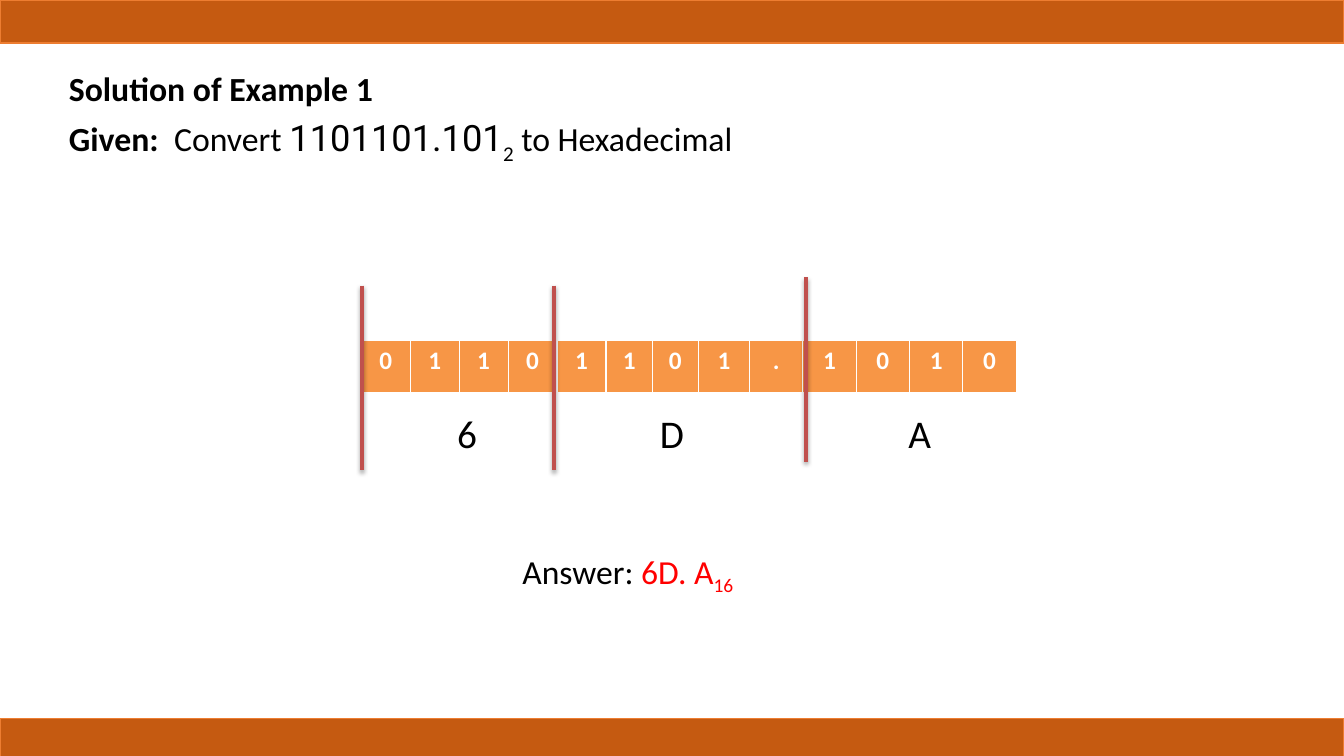
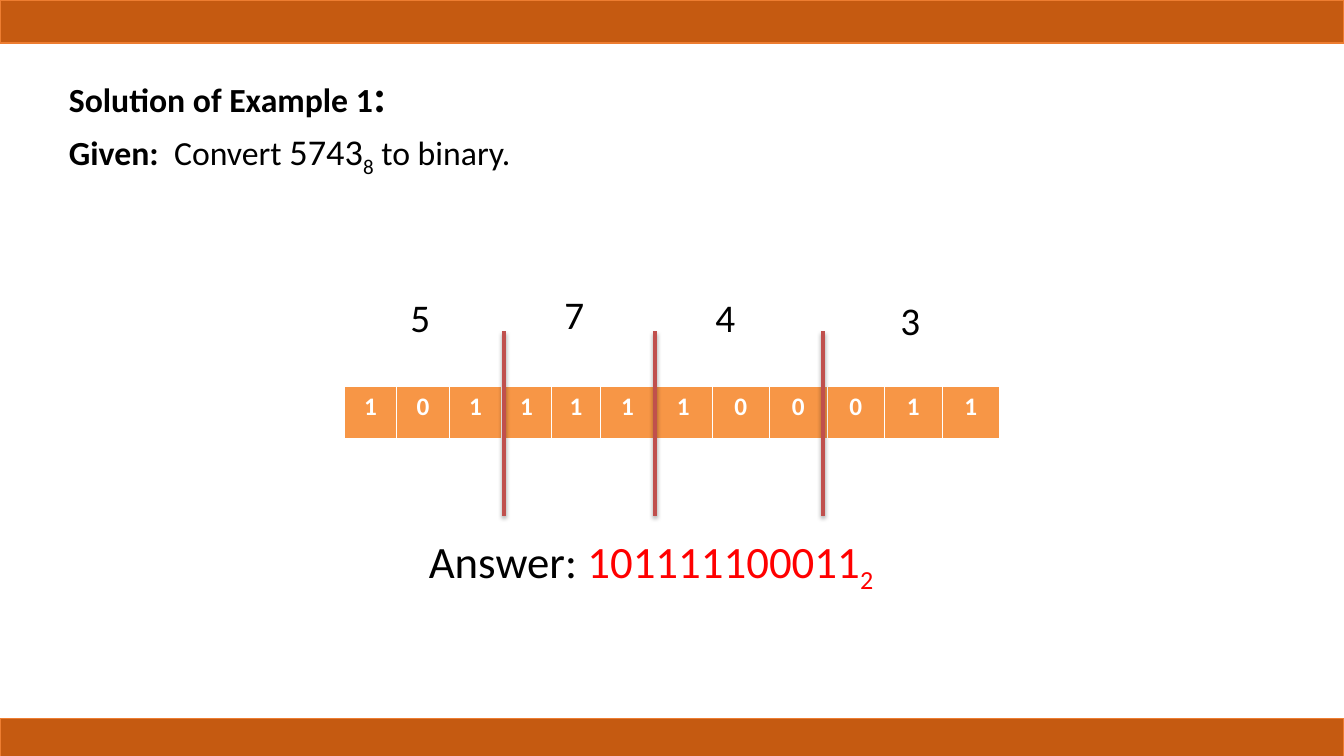
"""Build two worked slides on converting between number bases."""
from dataclasses import dataclass

from lxml.etree import SubElement
from pptx import Presentation
from pptx.dml.color import RGBColor
from pptx.enum.shapes import MSO_CONNECTOR, MSO_SHAPE
from pptx.enum.text import MSO_ANCHOR, MSO_AUTO_SIZE, PP_ALIGN
from pptx.oxml.ns import qn
from pptx.slide import Slide
from pptx.util import Pt

BLACK = RGBColor(0x00, 0x00, 0x00)
WHITE = RGBColor(0xFF, 0xFF, 0xFF)
RED = RGBColor(0xFF, 0x00, 0x00)
BAND = RGBColor(0xC5, 0x5A, 0x11)
BAND_EDGE = RGBColor(0xED, 0x7D, 0x31)
CELL = RGBColor(0xF7, 0x96, 0x46)
DIVIDER = RGBColor(0xC0, 0x50, 0x4D)

WIDTH, HEIGHT = 960, 540
BAND_HEIGHT = 30.8
BAND_TOPS = (0, 513.4)
ROW_HEIGHT = 38
DIVIDER_LENGTH = 132
HEAD_SIZE, NUMBER_SIZE = 24.1, 25.9
CELL_EDGES = (("a:lnL", 1), ("a:lnR", 1), ("a:lnT", 1), ("a:lnB", 3))


@dataclass(frozen=True)
class Run:
    text: str
    size: float
    bold: bool = False
    color: RGBColor = BLACK
    font: str = "Calibri"
    sub: bool = False


@dataclass(frozen=True)
class Label:
    runs: tuple[Run, ...]
    left: float
    top: float
    width: float
    height: float = 41
    align: PP_ALIGN = PP_ALIGN.CENTER


@dataclass(frozen=True)
class Digits:
    text: str
    left: float
    top: float
    widths: tuple[float, ...]


@dataclass(frozen=True)
class Divider:
    x: float
    top: float


@dataclass(frozen=True)
class Example:
    heading: tuple[tuple[Run, ...], ...]
    digits: Digits
    dividers: tuple[Divider, ...]
    labels: tuple[Label, ...]


def add_runs(p, runs: tuple[Run, ...]) -> None:
    """Append formatted runs to a paragraph."""
    for run in runs:
        r = p.add_run()
        r.text = run.text
        r.font.name = run.font
        r.font.size = Pt(run.size)
        r.font.bold = run.bold
        r.font.color.rgb = run.color
        if run.sub:
            r.font._element.set("baseline", "-25000")


def set_title(s: Slide, lines: tuple[tuple[Run, ...], ...]) -> None:
    """Place the title and fill it with one paragraph per line."""
    sp = s.shapes.title
    sp.left, sp.top, sp.width, sp.height = Pt(42), Pt(44.6), Pt(552), Pt(70.6)
    tf = sp.text_frame
    tf.auto_size = MSO_AUTO_SIZE.NONE
    tf.vertical_anchor = MSO_ANCHOR.TOP
    for i, runs in enumerate(lines):
        p = tf.add_paragraph() if i else tf.paragraphs[0]
        p.alignment = PP_ALIGN.LEFT
        p.space_before = Pt(5.5 if i else 0)
        add_runs(p, runs)


def add_digits(s: Slide, digits: Digits) -> None:
    """Draw a one-row table with one digit in each cell."""
    frame = s.shapes.add_table(
        1, len(digits.text), Pt(digits.left), Pt(digits.top),
        Pt(sum(digits.widths)), Pt(ROW_HEIGHT))
    table = frame.table
    table.horz_banding = False
    table.rows[0].height = Pt(ROW_HEIGHT)
    for i, (digit, width) in enumerate(zip(digits.text, digits.widths)):
        table.columns[i].width = Pt(width)
        cell = table.cell(0, i)
        p = cell.text_frame.paragraphs[0]
        p.alignment = PP_ALIGN.CENTER
        add_runs(p, (Run(digit, 18, True, WHITE),))
        props = cell._tc.get_or_add_tcPr()
        for tag, weight in CELL_EDGES:
            edge = SubElement(props, qn(tag), w=str(Pt(weight)))
            fill = SubElement(edge, qn("a:solidFill"))
            SubElement(fill, qn("a:srgbClr"), val=str(WHITE))
        cell.fill.solid()
        cell.fill.fore_color.rgb = CELL


def add_divider(s: Slide, divider: Divider) -> None:
    """Draw a vertical line with a soft shadow below it."""
    x, top = Pt(divider.x), Pt(divider.top)
    line = s.shapes.add_connector(
        MSO_CONNECTOR.STRAIGHT, x, top, x, top + Pt(DIVIDER_LENGTH))
    line.line.color.rgb = DIVIDER
    line.line.width = Pt(3)
    effects = SubElement(line._element.spPr, qn("a:effectLst"))
    shadow = SubElement(
        effects, qn("a:outerShdw"), blurRad=str(Pt(3.1)), dist=str(Pt(1.8)),
        dir="5400000", rotWithShape="0")
    color = SubElement(shadow, qn("a:srgbClr"), val=str(BLACK))
    SubElement(color, qn("a:alpha"), val="35000")


def add_label(s: Slide, label: Label) -> None:
    """Draw a text box holding one paragraph."""
    sp = s.shapes.add_textbox(
        Pt(label.left), Pt(label.top), Pt(label.width), Pt(label.height))
    tf = sp.text_frame
    tf.word_wrap = True
    tf.auto_size = MSO_AUTO_SIZE.SHAPE_TO_FIT_TEXT
    p = tf.paragraphs[0]
    p.alignment = label.align
    add_runs(p, label.runs)


def add_bands(s: Slide) -> None:
    """Draw the bands at the top and bottom edges."""
    for top in BAND_TOPS:
        sp = s.shapes.add_shape(
            MSO_SHAPE.RECTANGLE, 0, Pt(top), Pt(WIDTH), Pt(BAND_HEIGHT))
        sp.shadow.inherit = False
        sp.fill.solid()
        sp.fill.fore_color.rgb = BAND
        sp.line.color.rgb = BAND_EDGE
        sp.line.width = Pt(1)


def add_example(prs, example: Example) -> None:
    """Add one slide with a worked example."""
    s = prs.slides.add_slide(prs.slide_layouts.get_by_name("Title Only"))
    set_title(s, example.heading)
    add_digits(s, example.digits)
    for divider in example.dividers:
        add_divider(s, divider)
    for label in example.labels:
        add_label(s, label)
    add_bands(s)


def digit_label(text: str, left: float, top: float, width: float,
                align: PP_ALIGN) -> Label:
    """Return the label of one group of bits."""
    return Label((Run(text, 28),), left, top, width, align=align)


def answer(text: str, base: str, size: float) -> tuple[Run, ...]:
    """Return the runs of an answer with its base as subscript."""
    return (Run("Answer: ", size), Run(text, size, color=RED),
            Run(base, size, color=RED, sub=True))


def given(number: str, base: str, target: str, font: str) -> tuple[Run, ...]:
    """Return the runs of the line that states the task."""
    return (Run("Given:  ", HEAD_SIZE, True), Run("Convert ", HEAD_SIZE),
            Run(number, NUMBER_SIZE, font=font),
            Run(base, NUMBER_SIZE, sub=True), Run(target, HEAD_SIZE))


SOLUTION = Run("Solution of Example 1", HEAD_SIZE, True)

EXAMPLES = (
    Example(
        heading=((SOLUTION,),
                 given("1101101.101", "2", " to Hexadecimal", "Roboto")),
        digits=Digits("01101101.1010", 258, 243.5,
                      (35,) * 5 + (33,) * 2 + (36.5,) + (38.1,) * 5),
        dividers=(Divider(396, 204), Divider(576, 198), Divider(258.5, 204)),
        labels=tuple(
            digit_label(text, left, 288.8, 48, PP_ALIGN.CENTER)
            for text, left in (("D", 456), ("A", 633), ("6", 309.6))
        ) + (Label(answer("6D. A", "16", 24), 366, 390, 198, 36,
                   PP_ALIGN.LEFT),),
    ),
    Example(
        heading=((SOLUTION, Run(":", 32.4, True)),
                 given("5743", "8", " to binary.", "Calibri")),
        digits=Digits("101111100011", 246, 276,
                      (37.5,) * 3 + (35.3,) * 2 + (38.6,) + (41.1,) * 6),
        dividers=tuple(Divider(x, 236.6) for x in (360, 468, 588)),
        labels=tuple(
            digit_label(text, left, top, 42, PP_ALIGN.LEFT)
            for text, left, top in (("5", 286, 206), ("7", 396, 204),
                                    ("4", 504, 206), ("3", 636, 208))
        ) + (Label(answer("101111100011", "2", 32), 294, 377.5, 342, 46),),
    ),
)


def main() -> None:
    """Build and save the presentation."""
    prs = Presentation()
    prs.slide_width, prs.slide_height = Pt(WIDTH), Pt(HEIGHT)
    for example in EXAMPLES:
        add_example(prs, example)
    prs.save("out.pptx")


if __name__ == "__main__":
    main()
